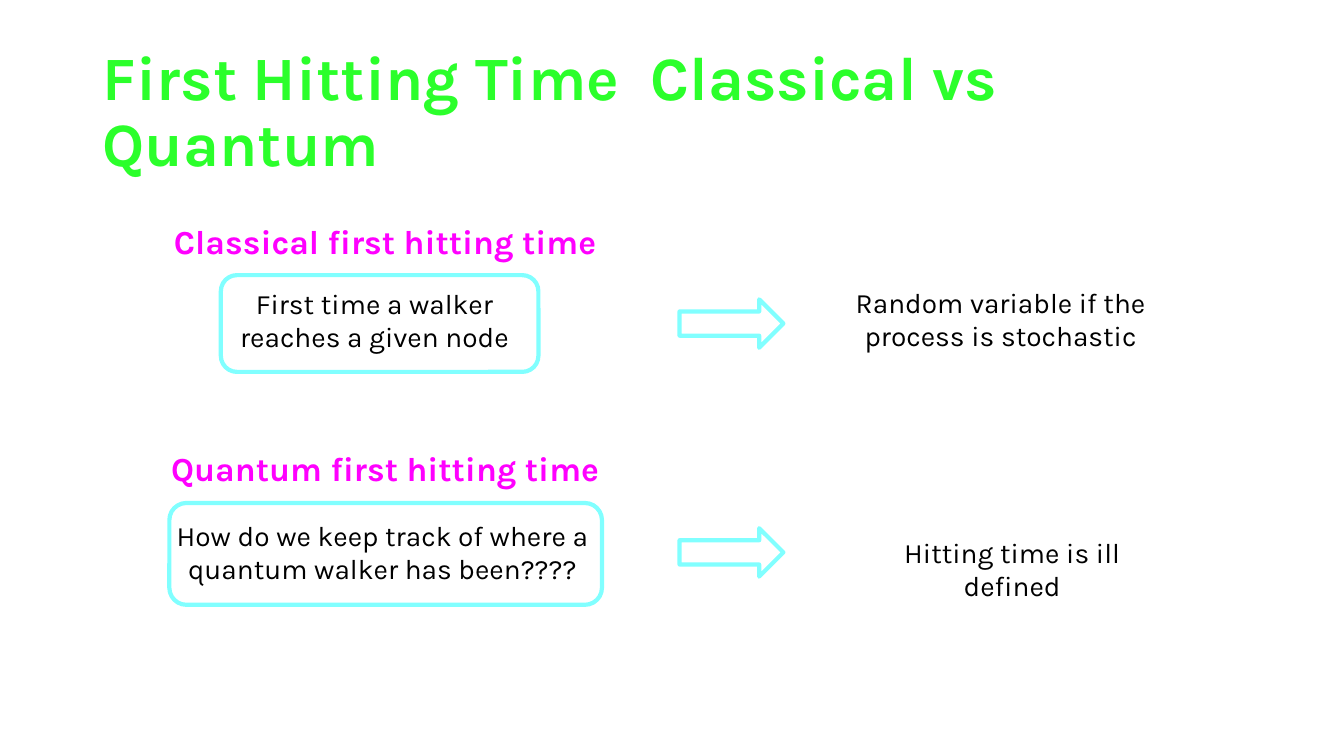
"""Build a slide comparing classical and quantum first hitting times."""
from pptx import Presentation
from pptx.dml.color import RGBColor
from pptx.enum.shapes import MSO_SHAPE
from pptx.enum.text import MSO_ANCHOR, PP_ALIGN
from pptx.util import Inches, Pt

ROUNDED, ARROW = MSO_SHAPE.ROUNDED_RECTANGLE, MSO_SHAPE.RIGHT_ARROW
LEFT, CENTER = PP_ALIGN.LEFT, PP_ALIGN.CENTER
TOP, MIDDLE = MSO_ANCHOR.TOP, MSO_ANCHOR.MIDDLE

TITLE = ("First Hitting Time  Classical vs Quantum", (0.92, 0.4, 11.5, 1.45))
CASES = [
    {
        "heading": ("Classical first hitting time", (1.24, 2.14, 5.16, 0.5)),
        "meaning": ("First time a walker reaches a given node", (2.09, 2.79, 3.25, 0.77)),
        "outcome": ("Random variable if the process is stochastic", (8.07, 2.78, 3.71, 0.77)),
        "frame": (2.19, 2.73, 3.15, 0.96),
    },
    {
        "heading": ("Quantum first hitting time", (1.42, 4.39, 4.8, 0.5)),
        "meaning": ("How do we keep track of where a quantum walker has been????",
                    (1.64, 5.09, 4.31, 0.77)),
        "outcome": ("Hitting time is ill defined", (8.41, 5.26, 3.26, 0.44)),
        "frame": (1.68, 4.99, 4.29, 1.01),
    },
]
ARROW_LEFT, ARROW_WIDTH, ARROW_HEIGHT = 6.74, 1.03, 0.48
ARROW_TOP, CASE_PITCH = 2.97, 2.27

THEME = {
    "font": "Karla",
    "outline": "81FFFF",
    "outline_width": 3,
    "title": {"size": 44, "color": "2BFF2B", "bold": True,
              "align": LEFT, "anchor": MIDDLE, "spacing": 0.9},
    "heading": {"size": 24, "color": "FF00FF", "bold": True,
                "align": CENTER, "anchor": TOP, "spacing": 1.0},
    "body": {"size": 20, "color": "000000", "bold": False,
             "align": CENTER, "anchor": TOP, "spacing": 1.0},
}


def apply(target, values):
    for attribute, value in values.items():
        setattr(target, attribute, value)


def add_text(slide, content, role):
    words, place = content
    style = THEME[role]
    frame = slide.shapes.add_textbox(*map(Inches, place)).text_frame
    apply(frame, {"word_wrap": True, "vertical_anchor": style["anchor"]})
    paragraph = frame.paragraphs[0]
    apply(paragraph, {"alignment": style["align"], "line_spacing": style["spacing"]})
    run = paragraph.add_run()
    run.text = words
    apply(run.font, {"name": THEME["font"], "size": Pt(style["size"]), "bold": style["bold"]})
    run.font.color.rgb = RGBColor.from_string(style["color"])


def add_outline(slide, kind, place):
    outline = slide.shapes.add_shape(kind, *map(Inches, place))
    outline.shadow.inherit = False
    outline.fill.background()
    outline.line.color.rgb = RGBColor.from_string(THEME["outline"])
    outline.line.width = Pt(THEME["outline_width"])


def main():
    deck = Presentation()
    apply(deck, {"slide_width": Inches(13.33), "slide_height": Inches(7.5)})
    slide = deck.slides.add_slide(deck.slide_layouts[6])
    add_text(slide, TITLE, "title")
    for index, case in enumerate(CASES):
        add_text(slide, case["heading"], "heading")
        add_text(slide, case["meaning"], "body")
        add_text(slide, case["outcome"], "body")
        add_outline(slide, ROUNDED, case["frame"])
        arrow_top = ARROW_TOP + index * CASE_PITCH
        add_outline(slide, ARROW, (ARROW_LEFT, arrow_top, ARROW_WIDTH, ARROW_HEIGHT))
    deck.save("out.pptx")


if __name__ == "__main__":
    main()
